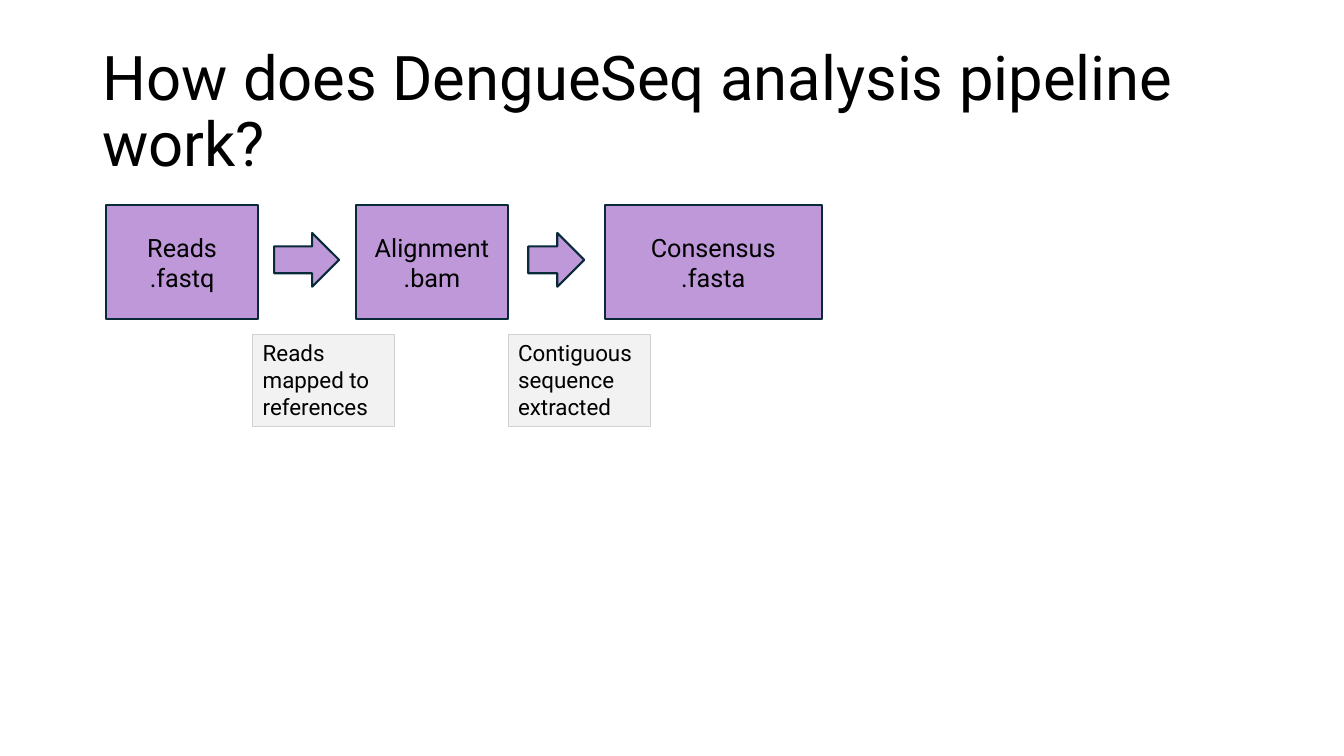
from dataclasses import dataclass
from pptx import Presentation
from pptx.dml.color import RGBColor
from pptx.enum import shapes, text
from pptx.util import Pt

KIND = shapes.MSO_SHAPE
ALIGN = text.PP_ALIGN
ANCHOR = text.MSO_ANCHOR


@dataclass(frozen=True)
class Theme:
    font: str = "Roboto"
    ink: str = "000000"
    step: str = "BE98D9"
    edge: str = "092A39"
    note: str = "F2F2F2"
    rim: str = "D1D1D1"
    title: int = 44
    label: int = 18
    small: int = 16


THEME = Theme()


def write(shape, lines, size, align, anchor, spacing=1.0):
    """Fill a shape's text frame, one paragraph per line."""
    frame = shape.text_frame
    frame.word_wrap = True
    frame.vertical_anchor = anchor
    frame.text = "\n".join(lines)
    style = {"name": THEME.font, "size": Pt(size)}
    for para in frame.paragraphs:
        para.alignment = align
        para.line_spacing = spacing
        for run in para.runs:
            for key, value in style.items():
                setattr(run.font, key, value)
            run.font.color.rgb = RGBColor.from_string(THEME.ink)


def block(slide, kind, box, fill, line, width):
    shape = slide.shapes.add_shape(kind, *map(Pt, box))
    shape.shadow.inherit = False
    shape.fill.solid()
    shape.fill.fore_color.rgb = RGBColor.from_string(fill)
    shape.line.color.rgb = RGBColor.from_string(line)
    shape.line.width = Pt(width)
    return shape


def title(slide, words):
    box = slide.shapes.add_textbox(Pt(66.2), Pt(28.8), Pt(828), Pt(104.4))
    write(box, [words], THEME.title, ALIGN.LEFT, ANCHOR.MIDDLE, 0.9)


def step(slide, left, width, lines):
    box = (left, 146.4, width, 81.6)
    shape = block(slide, KIND.RECTANGLE, box, THEME.step, THEME.edge, 1.5)
    write(shape, lines, THEME.label, ALIGN.CENTER, ANCHOR.MIDDLE)


def arrow(slide, left, width):
    box = (left, 166.4, width, 38.4)
    block(slide, KIND.RIGHT_ARROW, box, THEME.step, THEME.edge, 1.5)


def note(slide, left, words):
    box = (left, 239, 101.6, 65.4)
    shape = block(slide, KIND.RECTANGLE, box, THEME.note, THEME.rim, 0.75)
    write(shape, [words], THEME.small, ALIGN.LEFT, ANCHOR.TOP)


def main():
    deck = Presentation()
    deck.slide_width, deck.slide_height = Pt(960), Pt(540)
    slide = deck.slides.add_slide(deck.slide_layouts[6])

    title(slide, "How does DengueSeq analysis pipeline work?")
    for left, width, lines in (
        (75.6, 109, ("Reads", ".fastq")),
        (254, 109, ("Alignment", ".bam")),
        (432, 155, ("Consensus", ".fasta")),
    ):
        step(slide, left, width, lines)
    for left, width in ((195.8, 46.4), (377.3, 40)):
        arrow(slide, left, width)
    for left, words in (
        (180.6, "Reads mapped to references"),
        (363, "Contiguous sequence extracted"),
    ):
        note(slide, left, words)

    deck.save("out.pptx")


if __name__ == "__main__":
    main()
